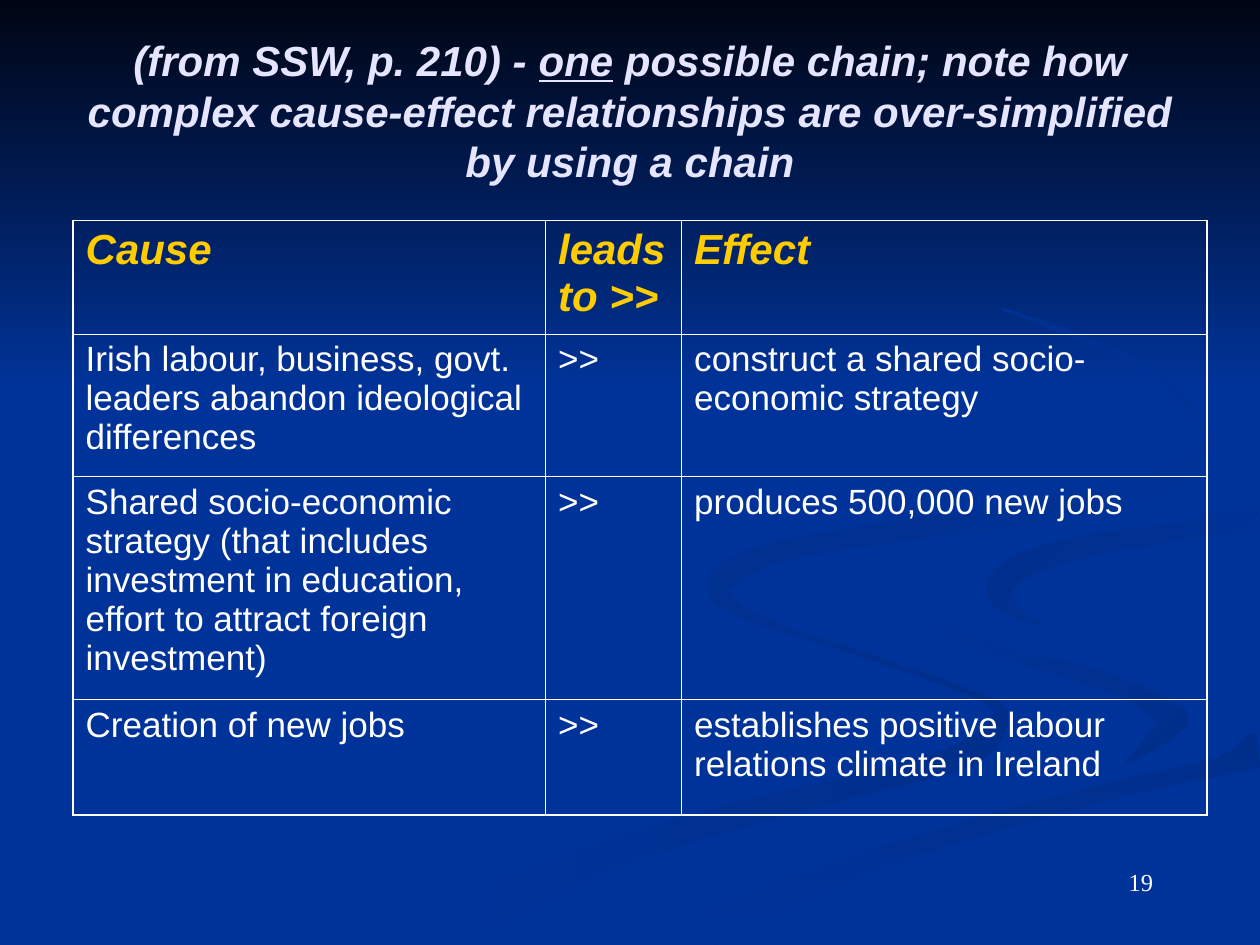
import itertools
import math

import lxml.etree
import pptx
import pptx.dml.color
import pptx.enum.shapes
import pptx.enum.text
import pptx.oxml.ns
import pptx.util

Inches = pptx.util.Inches
Pt = pptx.util.Pt
ALIGN = pptx.enum.text.PP_ALIGN

WIDE, HIGH = 10, 7.5
BLUE, DEEP, NIGHT = "003399", "002E8B", "000514"
WHITE, PALE, GOLD = "FFFFFF", "E5E5FF", "FFCC00"
THIN, THICK = 0.45, 1.08
STEPS = 5

TAIL = [(5.75, 4.6, 0.02), (5.74, 4.72, 0.06), (6.05, 4.93, 0.06), (6.8, 5.18, 0.04),
        (7.8, 5.54, 0.05), (7.93, 5.72, 0.14), (7.7, 5.97, 0.2), (7.1, 6.16, 0.17),
        (5.9, 6.46, 0.2), (4.6, 6.87, 0.25), (3.3, 7.49, 0.4)]
HOOK = [(7.24, 4.64, 0.02), (7.3, 4.82, 0.04), (7.6, 5.04, 0.09), (8.1, 5.22, 0.1),
        (8.7, 5.38, 0.14), (9.15, 5.57, 0.2), (9.3, 5.76, 0.25), (8.94, 6.05, 0.02)]
SWEEP = [(10, 5.95, 0.28), (9, 6.2, 0.2), (8, 6.47, 0.19), (7, 6.78, 0.2),
         (6.1, 7.13, 0.25), (5.4, 7.49, 0.3)]
BODY = [(10, 3.95, 0.14), (8.75, 4.14, 0.12), (7.85, 4.33, 0.2), (7.54, 4.62, 0.45),
        (7.95, 4.92, 0.32), (8.8, 5.2, 0.25), (9.6, 5.52, 0.4), (9.65, 5.8, 0.4),
        (9, 6.1, 0.12), (7.8, 6.4, 0.15), (6.3, 6.87, 0.15), (4.95, 7.44, 0.12)]
CURL = [(10, 4.11, 0.18), (9.35, 4.22, 0.14), (8.6, 4.34, 0.17), (8.1, 4.5, 0.2),
        (7.93, 4.68, 0.2), (8.03, 4.84, 0.1), (8.26, 4.96, 0.02)]
CREST = [(7.95, 2.45, 0.02), (8.6, 2.69, 0.05), (9.2, 3, 0.04), (9.57, 3.48, 0.07),
         (9.3, 3.78, 0.15), (8.7, 3.98, 0.15), (7.9, 4.11, 0.17), (6.9, 4.25, 0.16),
         (6.1, 4.4, 0.16), (5.72, 4.62, 0.2), (5.82, 4.82, 0.1), (6.17, 5, 0.02)]
WAVES = [(TAIL, BLUE, DEEP, 0), (HOOK, BLUE, DEEP, 45), (SWEEP, DEEP, BLUE, 90),
         (BODY, BLUE, BLUE, 0), (CURL, DEEP, BLUE, 45), (CREST, DEEP, BLUE, 45)]

TITLE = [
    ("(from SSW, p. 210) - ", False),
    ("one", True),
    (" possible chain; note how complex cause-effect relationships "
     "are over-simplified by using a chain", False),
]
HEADS = ("Cause", "leads to >>", "Effect")
LINKS = [
    ("Irish labour, business, govt. leaders abandon ideological differences",
     "construct a shared socio-economic strategy"),
    ("Shared socio-economic strategy (that includes investment in education, "
     "effort to attract foreign investment)", "produces 500,000 new jobs"),
    ("Creation of new jobs", "establishes positive labour relations climate in Ireland"),
]
ROWS = [HEADS] + [(cause, ">>", effect) for cause, effect in LINKS]
WIDTHS = [3.75, 1.08, 4.17]
HEIGHTS = [0.9, 1.13, 1.77, 0.92]


def tint(code):
    return pptx.dml.color.RGBColor.from_string(code)


def write(para, text, size, color, face="Arial", strong=False, under=False):
    run = para.add_run()
    run.text = text
    font = run.font
    font.name, font.size = face, Pt(size)
    font.bold = font.italic = strong
    font.underline = under
    font.color.rgb = tint(color)


def paint(shape, start, end, angle):
    shape.shadow.inherit = False
    shape.line.fill.background()
    if start == end:
        shape.fill.solid()
        shape.fill.fore_color.rgb = tint(start)
        return
    shape.fill.gradient()
    shape.fill.gradient_angle = (360 - angle) % 360
    for stop, code in zip(shape.fill.gradient_stops, (start, end)):
        stop.color.rgb = tint(code)


def blend(a, b, c, d, t):
    return (2 * b + (c - a) * t + (2 * a - 5 * b + 4 * c - d) * t ** 2
            + (3 * b - a - 3 * c + d) * t ** 3) / 2


def smooth(knots):
    ends = [knots[0], *knots, knots[-1]]
    spine = [tuple(blend(*axis, step / STEPS) for axis in zip(*four))
             for four in zip(ends, ends[1:], ends[2:], ends[3:])
             for step in range(STEPS)]
    return spine + [knots[-1]]


def clip(x, y):
    return Inches(min(max(x, 0), WIDE)), Inches(min(max(y, 0), HIGH))


def outline(knots):
    spine = smooth(knots)
    near, far = [], []
    for i, (x, y, thick) in enumerate(spine):
        back, ahead = spine[max(i - 1, 0)], spine[min(i + 1, len(spine) - 1)]
        turn = math.atan2(ahead[1] - back[1], ahead[0] - back[0])
        dx, dy = -math.sin(turn) * thick / 2, math.cos(turn) * thick / 2
        near.append(clip(x + dx, y + dy))
        far.append(clip(x - dx, y - dy))
    return near + far[::-1]


def add_wave(slide, knots, start, end, angle):
    spots = outline(knots)
    pen = slide.shapes.build_freeform(*spots[0])
    pen.add_line_segments(spots[1:], close=True)
    paint(pen.convert_to_shape(), start, end, angle)


def add_scene(slide, left, top, width, height):
    slide.background.fill.solid()
    slide.background.fill.fore_color.rgb = tint(BLUE)
    band = slide.shapes.add_shape(
        pptx.enum.shapes.MSO_SHAPE.RECTANGLE, left, top, width, height)
    paint(band, NIGHT, BLUE, 90)
    for wave in WAVES:
        add_wave(slide, *wave)


def add_title(slide, left, top, width, height):
    title = slide.shapes.title
    slide.shapes._spTree.append(title._element)
    title.left, title.top, title.width, title.height = left, top, width, height
    frame = title.text_frame
    frame.word_wrap = True
    frame.auto_size = pptx.enum.text.MSO_AUTO_SIZE.NONE
    frame.vertical_anchor = pptx.enum.text.MSO_ANCHOR.MIDDLE
    para = frame.paragraphs[0]
    para.alignment = ALIGN.CENTER
    for text, under in TITLE:
        write(para, text, 24, PALE, strong=True, under=under)


def add_edge(cell, side, weight):
    name = pptx.oxml.ns.qn
    edge = lxml.etree.SubElement(
        cell._tc.get_or_add_tcPr(), name("a:ln" + side), w=str(Pt(weight)))
    fill = lxml.etree.SubElement(edge, name("a:solidFill"))
    lxml.etree.SubElement(fill, name("a:srgbClr"), val=WHITE)


def add_chain(slide, left, top, width, height):
    table = slide.shapes.add_table(
        len(ROWS), len(WIDTHS), left, top, width, height).table
    table.first_row = table.horz_banding = False
    for col, size in zip(table.columns, WIDTHS):
        col.width = Inches(size)
    for row, size in zip(table.rows, HEIGHTS):
        row.height = Inches(size)
    last_row, last_col = len(ROWS) - 1, len(WIDTHS) - 1
    for r, c in itertools.product(range(len(ROWS)), range(len(WIDTHS))):
        cell = table.cell(r, c)
        outer = {"L": c == 0, "R": c == last_col, "T": r == 0, "B": r == last_row}
        for side, rim in outer.items():
            add_edge(cell, side, THICK if rim else THIN)
        cell.fill.background()
        size, color = (24, GOLD) if r == 0 else (20, WHITE)
        write(cell.text_frame.paragraphs[0], ROWS[r][c], size, color, strong=r == 0)


def add_page(slide, left, top, width, height):
    frame = slide.shapes.add_textbox(left, top, width, height).text_frame
    frame.word_wrap = True
    para = frame.paragraphs[0]
    para.alignment = ALIGN.RIGHT
    write(para, "19", 14, WHITE, face="Times New Roman")


def main():
    deck = pptx.Presentation()
    deck.slide_width, deck.slide_height = Inches(WIDE), Inches(HIGH)
    slide = deck.slides.add_slide(deck.slide_layouts[5])
    add_scene(slide, Inches(0), Inches(0), Inches(WIDE), Inches(3.08))
    add_title(slide, Inches(0.5), Inches(0.25), Inches(9), Inches(1.25))
    add_chain(slide, Inches(0.58), Inches(1.75), Inches(9), Inches(4.72))
    add_page(slide, Inches(7.17), Inches(6.83), Inches(2.08), Inches(0.5))
    deck.save("out.pptx")


if __name__ == "__main__":
    main()
